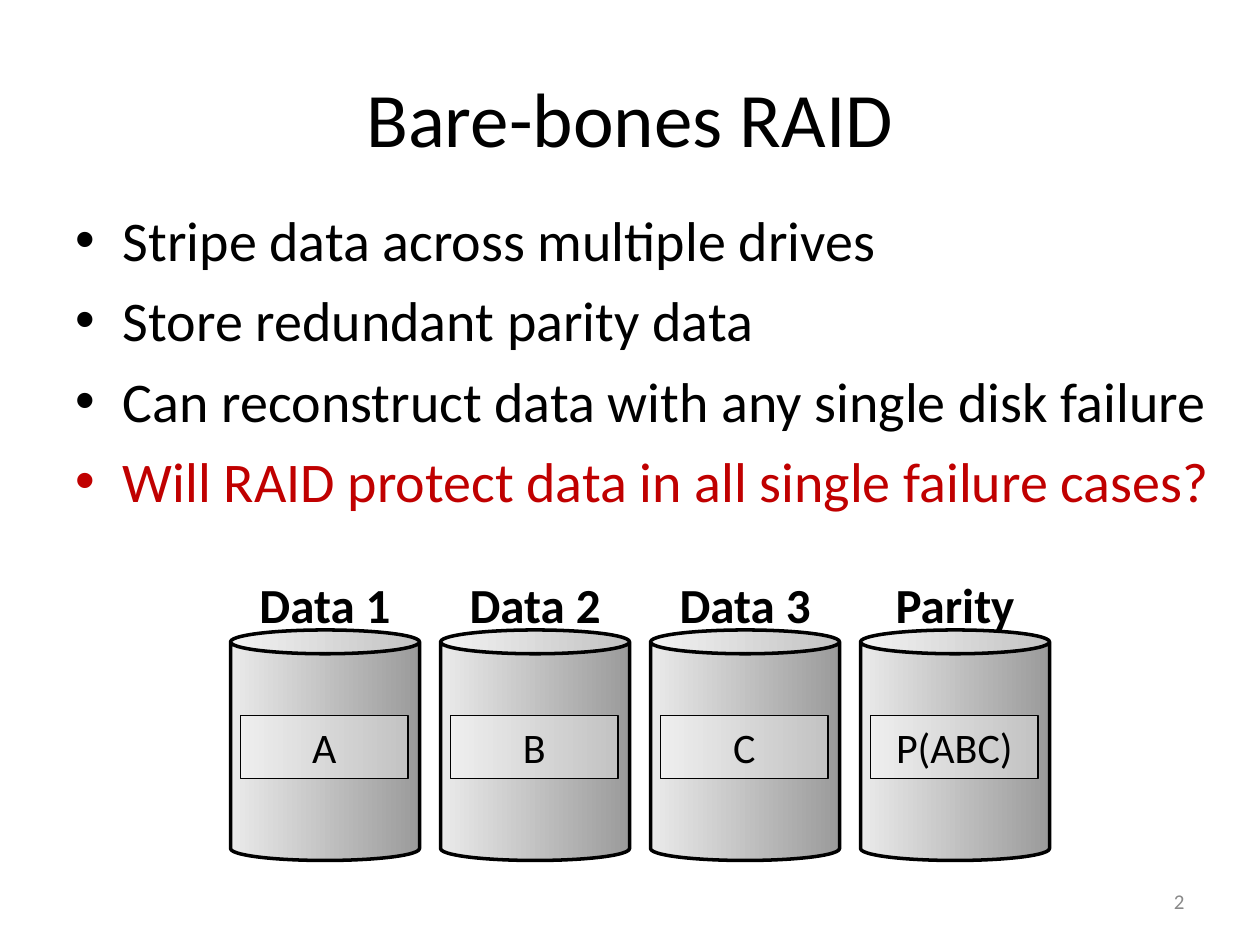
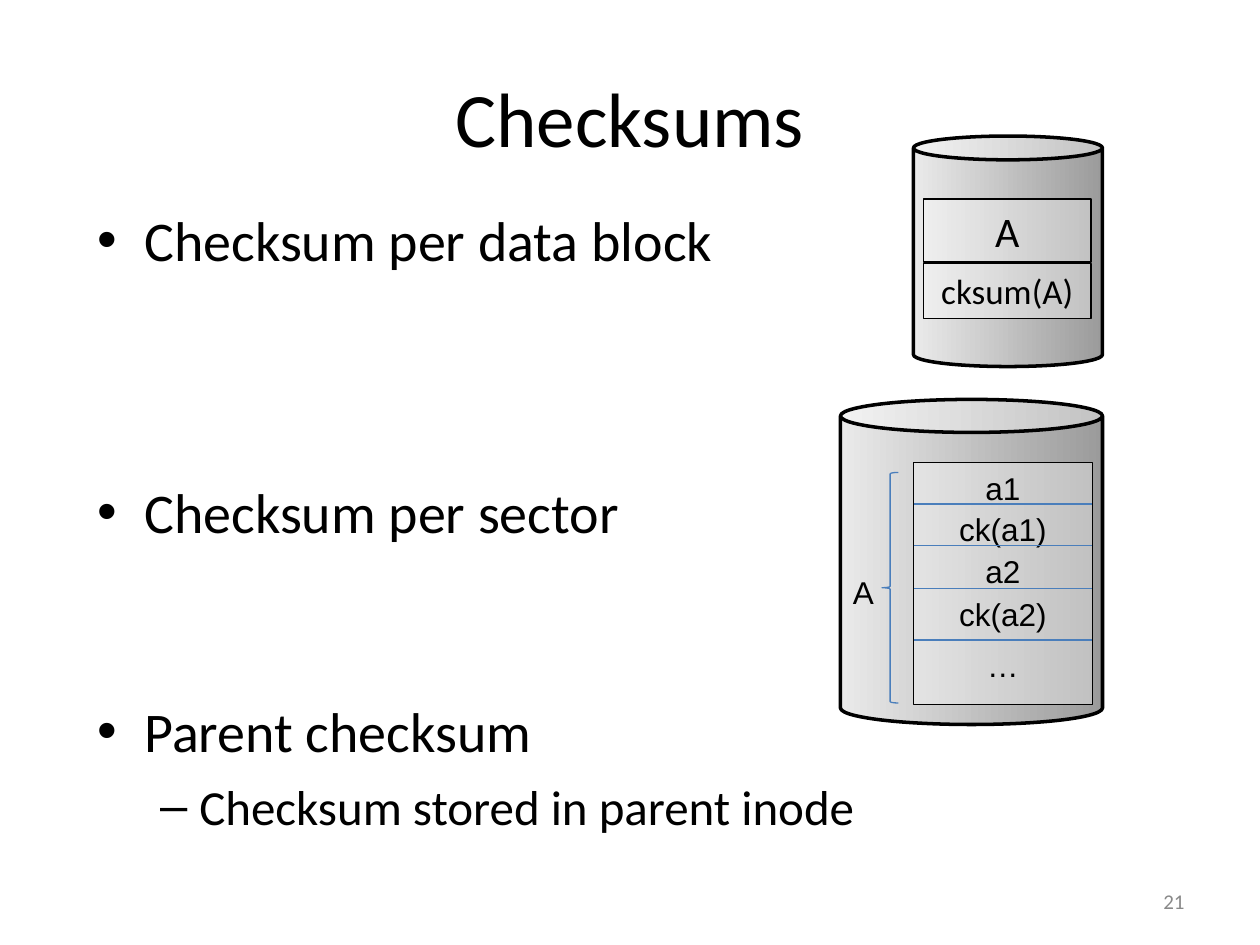
"""Build two slides on RAID parity and checksums."""
import pptx
import pptx.dml.color
import pptx.enum.shapes
import pptx.enum.text
import pptx.oxml
import pptx.oxml.ns
import pptx.util
from pptx.util import Inches

COLORS = {
    "text": "000000",
    "alert": "C00000",
    "number": "898989",
    "light": "EAEAEA",
    "dark": "9B9B9B",
    "block": "FFFFFF",
    "rule": "4A7EBB",
}
SHAPES = pptx.enum.shapes.MSO_SHAPE
ALIGN = pptx.enum.text.PP_ALIGN
ANCHOR = pptx.enum.text.MSO_ANCHOR


def rgb(name):
    """Return a palette colour."""
    return pptx.dml.color.RGBColor.from_string(COLORS[name])


def set_line(line, color="text", width=0.75):
    """Format an outline or connector."""
    line.color.rgb = rgb(color)
    line.width = pptx.util.Pt(width)


def write(frame, text, size, font="Calibri", color="text", bold=False,
          align=ALIGN.CENTER, anchor=ANCHOR.TOP):
    """Put one formatted paragraph in a text frame."""
    frame.word_wrap = True
    frame.auto_size = pptx.enum.text.MSO_AUTO_SIZE.NONE
    frame.vertical_anchor = anchor
    paragraph = frame.paragraphs[0]
    paragraph.text = text
    paragraph.alignment = align
    style(paragraph, size, font, color, bold)


def style(paragraph, size, font="Calibri", color="text", bold=False):
    """Set the font of a paragraph."""
    paragraph.font.size = pptx.util.Pt(size)
    paragraph.font.name = font
    paragraph.font.bold = bold
    paragraph.font.color.rgb = rgb(color)


def add_label(slide, text, left, top, width, height, size, **options):
    """Add a text box."""
    box = slide.shapes.add_textbox(Inches(left), Inches(top), Inches(width), Inches(height))
    write(box.text_frame, text, size, **options)


def add_preset(slide, kind, left, top, width, height, color="text", line_width=0.75):
    """Add an outlined preset shape without a shadow."""
    shape = slide.shapes.add_shape(
        kind, Inches(left), Inches(top), Inches(width), Inches(height))
    shape.shadow.inherit = False
    set_line(shape.line, color, line_width)
    return shape


def add_disk(slide, left, top, width=1.5, height=1.83):
    """Add a disk drawn as a shaded cylinder."""
    disk = add_preset(slide, SHAPES.CAN, left, top, width, height, line_width=2)
    disk.adjustments[0] = 0.126
    disk.fill.gradient()
    disk.fill.gradient_angle = 0
    for stop, color in zip(disk.fill.gradient_stops, ("light", "dark")):
        stop.color.rgb = rgb(color)


def add_block(slide, left, top, width, height, text="", size=24):
    """Add a translucent data block."""
    block = add_preset(slide, SHAPES.RECTANGLE, left, top, width, height)
    block.fill.solid()
    block.fill.fore_color.rgb = rgb("block")
    color = block.fill._xPr.find(".//" + pptx.oxml.ns.qn("a:srgbClr"))
    color.append(pptx.oxml.parse_xml(
        f'<a:alpha {pptx.oxml.ns.nsdecls("a")} val="37000"/>'))
    if text:
        write(block.text_frame, text, size)


def add_rule(slide, left, right, y):
    """Add a horizontal line between sectors."""
    rule = slide.shapes.add_connector(
        pptx.enum.shapes.MSO_CONNECTOR.STRAIGHT,
        Inches(left), Inches(y), Inches(right), Inches(y))
    set_line(rule.line, "rule")
    rule._element.spPr.append(pptx.oxml.parse_xml(
        f'<a:effectLst {pptx.oxml.ns.nsdecls("a")}/>'))


def add_slide(presentation, title, number, body_box, items):
    """Add a slide from (text, level, space before, colour) list items."""
    slide = presentation.slides.add_slide(presentation.slide_layouts[1])
    heading, body = slide.placeholders
    place(heading, 0.5, 0.3, 9, 1.25)
    write(heading.text_frame, title, 44, anchor=ANCHOR.MIDDLE)
    place(body, *body_box)
    frame = body.text_frame
    frame.word_wrap = True
    frame.auto_size = pptx.enum.text.MSO_AUTO_SIZE.NONE
    for index, (text, level, space, color) in enumerate(items):
        paragraph = frame.add_paragraph() if index else frame.paragraphs[0]
        paragraph.text = text
        paragraph.level = level
        paragraph.space_before = pptx.util.Pt(space)
        style(paragraph, 28 if level else 32, color=color)
    add_label(slide, number, 7.17, 6.95, 2.33, 0.4, 12, color="number",
              align=ALIGN.RIGHT, anchor=ANCHOR.MIDDLE)
    return slide


def place(shape, left, top, width, height):
    """Move and size a placeholder."""
    shape.left, shape.top = Inches(left), Inches(top)
    shape.width, shape.height = Inches(width), Inches(height)


def build_raid(presentation):
    """Build the slide with the row of striped disks."""
    slide = add_slide(presentation, "Bare-bones RAID", "2", (0.5, 1.58, 9.25, 4.95), [
        ("Stripe data across multiple drives", 0, 7.5, "text"),
        ("Store redundant parity data", 0, 7.5, "text"),
        ("Can reconstruct data with any single disk failure", 0, 7.5, "text"),
        ("Will RAID protect data in all single failure cases?", 0, 7.5, "alert"),
    ])
    disks = [("Data 1", "A"), ("Data 2", "B"), ("Data 3", "C"), ("Parity", "P(ABC)")]
    for index, (name, content) in enumerate(disks):
        left = 1.83 + index * 5 / 3
        add_label(slide, name, left, 4.51, 1.5, 0.57, 28, bold=True)
        add_disk(slide, left, 5)
        add_block(slide, left + 0.08, 5.68, 1.33, 0.5, content)


def build_checksums(presentation):
    """Build the slide with block and sector checksums."""
    slide = add_slide(presentation, "Checksums", "21", (0.67, 1.58, 9, 5.42), [
        ("Checksum per data block", 0, 7.5, "text"),
        ("Checksum per sector", 0, 117, "text"),
        ("Parent checksum", 0, 87, "text"),
        ("Checksum stored in parent inode", 1, 7, "text"),
    ])
    add_disk(slide, 7.25, 1.08)
    add_block(slide, 7.33, 1.58, 1.33, 0.5, "A")
    add_block(slide, 7.33, 2.09, 1.33, 0.44, "cksum(A)", 20)

    add_disk(slide, 6.67, 3.17, 2.08, 2.58)
    left, width = 7.25, 1.42
    add_block(slide, left, 3.67, width, 1.92)
    sectors = [("a1", 3.67), ("ck(a1)", 4), ("a2", 4.33), ("ck(a2)", 4.67), ("…", 5.08)]
    for index, (text, top) in enumerate(sectors):
        if index:
            add_rule(slide, left, left + width, top)
        add_label(slide, text, left, top, width, 0.4, 18, font="Arial")
    brace = add_preset(slide, SHAPES.LEFT_BRACE, 7, 3.75, 0.13, 1.83, "rule")
    brace.fill.background()
    add_label(slide, "A", 6.67, 4.5, 0.33, 0.4, 18, font="Arial")


def main():
    """Create and save the presentation."""
    presentation = pptx.Presentation()
    presentation.slide_width = Inches(10)
    presentation.slide_height = Inches(7.5)
    build_raid(presentation)
    build_checksums(presentation)
    presentation.save("out.pptx")


if __name__ == "__main__":
    main()
